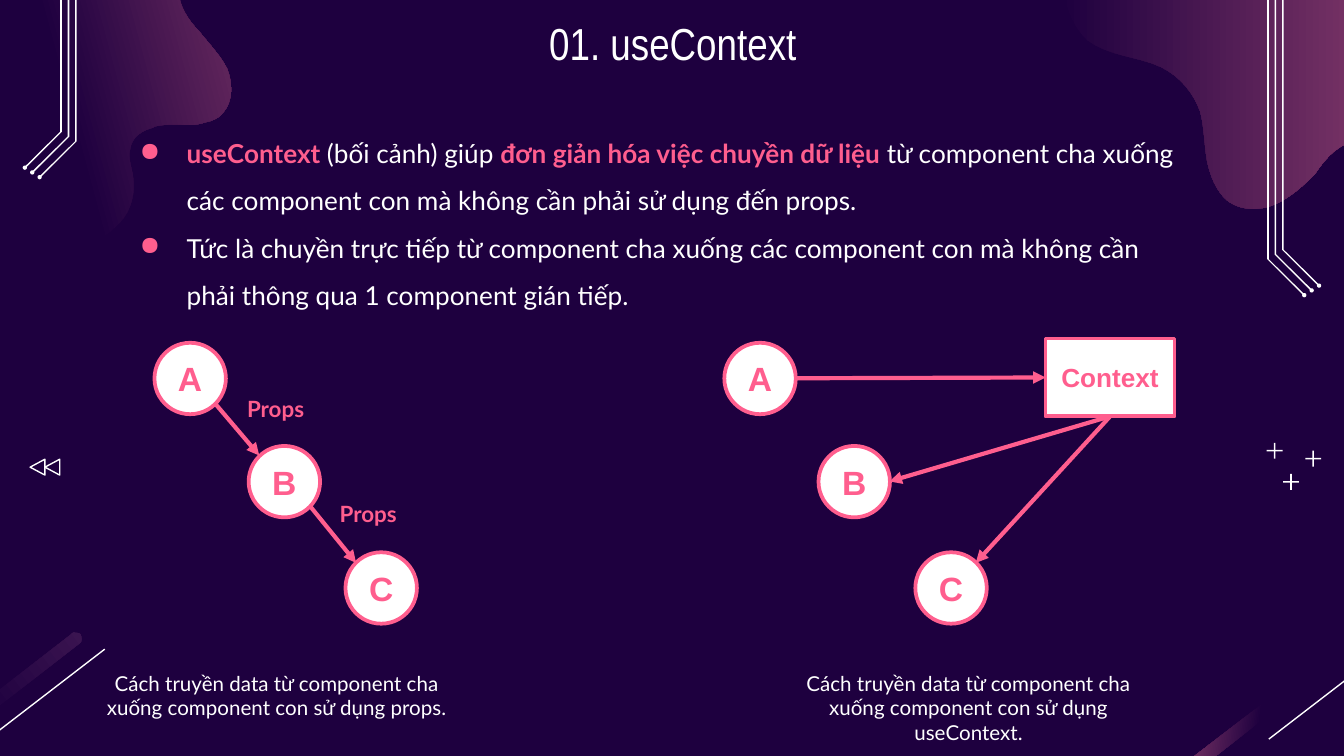
from dataclasses import dataclass
from typing import Optional

from lxml.etree import SubElement
from pptx import Presentation
from pptx.dml.color import RGBColor
from pptx.enum.shapes import MSO_CONNECTOR, MSO_SHAPE
from pptx.enum.text import MSO_ANCHOR, MSO_AUTO_SIZE, PP_ALIGN
from pptx.oxml.ns import qn
from pptx.util import Cm, Pt

NIGHT = RGBColor(0x1E, 0x00, 0x3F)
MAUVE = RGBColor(0xA6, 0x4D, 0x79)
DIM_MAUVE = RGBColor(0x3A, 0x14, 0x50)
PINK = RGBColor(0xFF, 0x5E, 0x8E)
WHITE = RGBColor(0xFF, 0xFF, 0xFF)

OVAL, RECT, TRIANGLE = MSO_SHAPE.OVAL, MSO_SHAPE.RECTANGLE, MSO_SHAPE.ISOSCELES_TRIANGLE
STRAIGHT = MSO_CONNECTOR.STRAIGHT
LEFT, CENTER = PP_ALIGN.LEFT, PP_ALIGN.CENTER
TOP, MIDDLE = MSO_ANCHOR.TOP, MSO_ANCHOR.MIDDLE
FIT_TEXT = MSO_AUTO_SIZE.SHAPE_TO_FIT_TEXT
SIDE_LEFT, SIDE_BOTTOM = 1, 2

CURVE_UNIT = 0.0254
CURVE_STEPS = 8
BAR_SHIFT = 24.21
DIAGRAM_SHIFT = 10.77
NODE_SIZE = 1.35


@dataclass(frozen=True)
class Box:
    left: float
    top: float
    width: float
    height: float

    def lengths(self) -> tuple:
        return Cm(self.left), Cm(self.top), Cm(self.width), Cm(self.height)


@dataclass(frozen=True)
class Gradient:
    start: float
    end_color: RGBColor
    angle: float


@dataclass(frozen=True)
class Rail:
    x: float
    top: float
    bend: float
    side: int


TITLE_FONT = {"name": "Arial Narrow", "size": Pt(24), "bold": False}
BODY_FONT = {"name": "Lato", "size": Pt(14), "bold": False}
STRONG_FONT = {**BODY_FONT, "bold": True}
PROPS_FONT = {**STRONG_FONT, "size": Pt(12)}
CAPTION_FONT = {**BODY_FONT, "size": Pt(11)}
NODE_FONT = {"name": "Arial", "size": Pt(18), "bold": True}
CONTEXT_FONT = {**NODE_FONT, "size": Pt(14)}
ROOMY = {"margin_top": Cm(0.25), "margin_bottom": Cm(0.25)}

LEFT_BLOB = [
    (48, 190), (74, 183), (86, 169), (90, 165), (98, 156), (101, 143), (99, 131),
    (98, 124), (95, 117), (97, 111), (98, 102), (106, 97), (114, 95),
    (115, 94), (115, 94), (116, 94), (124, 92), (133, 93), (142, 93),
    (146, 93), (150, 92), (153, 91), (158, 90), (163, 88), (166, 84),
    (174, 75), (173, 61), (169, 51), (164, 41), (155, 32), (148, 23),
    (140, 15), (133, 4), (133, -7), (133, -16), (136, -25), (143, -31),
    (147, -35), (153, -38), (159, -39), (168, -42), (179, -42), (190, -41),
    (201, -41), (212, -40), (223, -42), (225, -43), (226, -43), (228, -43),
    (237, -46), (246, -51), (252, -58), (259, -66), (261, -78), (258, -87),
    (256, -105), (244, -125), (233, -134), (215, -150), (190, -155), (167, -151),
    (166, -150), (165, -150), (164, -150), (129, -140), (103, -110), (70, -95),
    (65, -93), (59, -91), (54, -90), (22, -81), (-13, -85), (-47, -82),
    (-62, -81), (-77, -78), (-91, -74), (-104, -71), (-116, -67), (-128, -61),
    (-145, -54), (-162, -44), (-174, -30), (-186, -17), (-195, 2), (-194, 22),
    (-193, 46), (-176, 68), (-156, 80), (-135, 93), (-112, 97), (-88, 99),
    (-74, 101), (-60, 101), (-46, 106), (-32, 110), (-19, 119), (-13, 133),
    (-8, 144), (-8, 155), (-3, 166), (6, 184), (29, 195), (48, 190),
]
RIGHT_BLOB = [
    (1125, 38), (1125, 13), (1118, -13), (1105, -35), (1094, -54), (1078, -70), (1058, -77),
    (1036, -85), (1012, -81), (989, -84), (967, -87), (945, -97), (929, -113),
    (918, -123), (909, -135), (897, -141), (883, -148), (867, -146), (852, -143),
    (840, -140), (828, -136), (819, -129), (803, -117), (796, -97), (793, -78),
    (790, -65), (789, -51), (789, -38), (789, -31), (789, -24), (790, -18),
    (791, 0), (796, 18), (809, 30), (825, 42), (847, 42), (864, 50),
    (878, 57), (888, 69), (893, 83), (896, 94), (896, 107), (898, 119),
    (900, 130), (905, 143), (914, 150), (924, 157), (938, 157), (949, 152),
    (960, 147), (969, 139), (978, 130), (983, 123), (988, 116), (995, 111),
    (1002, 106), (1010, 103), (1018, 106), (1033, 110), (1038, 130), (1052, 138),
    (1085, 157), (1108, 112), (1117, 88), (1122, 72), (1125, 55), (1125, 38),
]
BAR = [
    (56, 471), (57, 471), (59, 471), (60, 472), (61, 475), (61, 478), (59, 479),
    (59, 479), (-81, 588), (-81, 588), (-84, 589), (-87, 589), (-88, 587),
    (-90, 585), (-90, 582), (-87, 580), (-87, 580), (53, 472), (53, 472),
    (54, 471), (55, 470), (56, 471),
]


def style(target, values: dict) -> None:
    for attribute, value in values.items():
        setattr(target, attribute, value)


def curve(controls: list, shift: float = 0) -> list:
    points = []
    for first in range(0, len(controls) - 1, 3):
        segment = controls[first:first + 4]
        for step in range(CURVE_STEPS):
            t = step / CURVE_STEPS
            weights = ((1 - t) ** 3, 3 * t * (1 - t) ** 2, 3 * t * t * (1 - t), t ** 3)
            x, y = (sum(w * p[axis] for w, p in zip(weights, segment)) for axis in (0, 1))
            points.append((x * CURVE_UNIT + shift, y * CURVE_UNIT))
    return points


def paint(shape, fill: Optional[RGBColor], line: Optional[RGBColor] = None, width: float = 2) -> None:
    shape.shadow.inherit = False
    if fill is None:
        shape.fill.background()
    else:
        shape.fill.solid()
        shape.fill.fore_color.rgb = fill
    if line is None:
        shape.line.fill.background()
    else:
        shape.line.color.rgb = line
        shape.line.width = Pt(width)


def draw_shape(shapes, kind, box: Box, fill=None, line=None, width: float = 2):
    shape = shapes.add_shape(kind, *box.lengths())
    paint(shape, fill, line, width)
    return shape


def draw_outline(shapes, points: list, gradient: Optional[Gradient] = None) -> None:
    corners = [(Cm(x), Cm(y)) for x, y in points]
    builder = shapes.build_freeform(*corners[0])
    builder.add_line_segments(corners[1:], close=True)
    outline = builder.convert_to_shape()
    paint(outline, WHITE)
    if gradient:
        outline.fill.gradient()
        outline.fill.gradient_angle = gradient.angle
        stops = ((gradient.start, NIGHT), (1, gradient.end_color))
        for stop, (position, color) in zip(outline.fill.gradient_stops, stops):
            stop.position = position
            stop.color.rgb = color


def draw_rail(shapes, rail: Rail) -> None:
    profile = [(0, rail.top), (0, rail.bend), (0.69, rail.bend + 0.69),
               (0.71, rail.bend + 0.67), (0.03, rail.bend), (0.03, rail.top)]
    draw_outline(shapes, [(rail.x + rail.side * x, y) for x, y in profile])
    tip = rail.x + rail.side * 0.7
    draw_shape(shapes, OVAL, Box(tip - 0.04, rail.bend + 0.64, 0.08, 0.08), WHITE)


def draw_line(shapes, start: tuple, end: tuple, color=PINK, width=2.25, arrow=True):
    line = shapes.add_connector(STRAIGHT, *(Cm(v) for v in (*start, *end)))
    line.line.color.rgb = color
    line.line.width = Pt(width)
    properties = line._element.spPr
    if arrow:
        SubElement(properties.find(qn("a:ln")), qn("a:tailEnd"), type="triangle")
    SubElement(properties, qn("a:effectLst"))
    return line


def write(paragraph, text: str, font: dict, color: RGBColor) -> None:
    run = paragraph.add_run()
    run.text = text
    style(run.font, font)
    run.font.color.rgb = color


def draw_text(shapes, box: Box, text: str, font: dict, color=WHITE, align=CENTER, **frame) -> None:
    text_frame = shapes.add_textbox(*box.lengths()).text_frame
    style(text_frame, {"word_wrap": True, "vertical_anchor": TOP, **frame})
    text_frame.paragraphs[0].alignment = align
    write(text_frame.paragraphs[0], text, font, color)


def draw_bullets(shapes, box: Box, points: list) -> None:
    text_frame = shapes.add_textbox(*box.lengths()).text_frame
    style(text_frame, {"word_wrap": True, "vertical_anchor": TOP, **ROOMY})
    for index, phrases in enumerate(points):
        paragraph = text_frame.add_paragraph() if index else text_frame.paragraphs[0]
        paragraph.line_spacing = 1.5
        properties = paragraph._p.get_or_add_pPr()
        properties.set("marL", str(Cm(1.27)))
        properties.set("indent", str(-Cm(0.89)))
        SubElement(SubElement(properties, qn("a:buClr")), qn("a:srgbClr"), val=str(PINK))
        SubElement(properties, qn("a:buChar"), char="●")
        for phrase, strong in phrases:
            write(paragraph, phrase, STRONG_FONT if strong else BODY_FONT, PINK if strong else WHITE)


def draw_node(shapes, kind, box: Box, label: str, font: dict):
    node = draw_shape(shapes, kind, box, WHITE, PINK)
    style(node.text_frame, {"vertical_anchor": MIDDLE, "word_wrap": True,
                            "margin_left": 0, "margin_right": 0})
    node.text_frame.paragraphs[0].alignment = CENTER
    write(node.text_frame.paragraphs[0], label, font, PINK)
    return node


def draw_backdrop(shapes) -> None:
    draw_outline(shapes, curve(LEFT_BLOB), Gradient(0.5, MAUVE, 15))
    draw_outline(shapes, curve(RIGHT_BLOB), Gradient(0, MAUVE, 0))
    for shift, gradient in ((0, Gradient(0.5, DIM_MAUVE, 37)), (BAR_SHIFT, Gradient(0.5, MAUVE, 173))):
        draw_outline(shapes, curve(BAR, shift), gradient)
        draw_line(shapes, (1.98 + shift, 12.27), (-0.23 + shift, 13.97), WHITE, 0.75, False)
    for i in range(3):
        draw_rail(shapes, Rail(23.95 + 0.14 * i, -3.02, 4.9 - 0.09 * i, 1))
        draw_rail(shapes, Rail(1.45 - 0.14 * i, -5.26, 2.67 - 0.09 * i, -1))
    for x, y in ((24.4, 9.11), (24.82, 8.67), (24.09, 8.52)):
        for width, height in ((0.3, 0.03), (0.03, 0.3)):
            draw_shape(shapes, RECT, Box(x - width / 2, y - height / 2, width, height), WHITE)
    for left in (0.56, 0.84):
        draw_shape(shapes, TRIANGLE, Box(left, 8.69, 0.3, 0.28), None, WHITE, 0.75).rotation = 270


def draw_diagrams(shapes) -> None:
    for shift in (0, DIAGRAM_SHIFT):
        for label, left, top in (("A", 2.92, 6.48), ("B", 4.7, 8.43), ("C", 6.53, 10.44)):
            draw_node(shapes, OVAL, Box(left + shift, top, NODE_SIZE, NODE_SIZE), label, NODE_FONT)
    for start, end in (((4.06, 7.62), (4.9, 8.61)), ((5.87, 9.58), (6.73, 10.64))):
        draw_line(shapes, start, end)
    for left, top in ((4.42, 7.34), (6.17, 9.32)):
        draw_text(shapes, Box(left, top, 1.63, 0.76), "Props", PROPS_FONT, PINK, LEFT,
                  word_wrap=False, auto_size=FIT_TEXT)
    context = draw_node(shapes, RECT, Box(19.76, 6.4, 2.44, 1.47), "Context", CONTEXT_FONT)
    draw_line(shapes, (15.04, 7.15), (19.76, 7.14)).end_connect(context, SIDE_LEFT)
    for target in ((18.44, 10.64), (16.81, 9.1)):
        draw_line(shapes, (20.98, 7.87), target).begin_connect(context, SIDE_BOTTOM)
    for left, width, means in ((1.7, 7.06, "props"), (14.43, 7.75, "useContext")):
        draw_text(shapes, Box(left, 12.55, width, 1.19),
                  f"Cách truyền data từ component cha xuống component con sử dụng {means}.",
                  CAPTION_FONT, auto_size=FIT_TEXT)


def main() -> None:
    deck = Presentation()
    style(deck, {"slide_width": Cm(25.4), "slide_height": Cm(14.29)})
    slide = deck.slides.add_slide(deck.slide_layouts[6])
    slide.background.fill.solid()
    slide.background.fill.fore_color.rgb = NIGHT
    draw_backdrop(slide.shapes)
    draw_bullets(slide.shapes, Box(2.01, 2.06, 20.62, 3.96), [
        [("useContext ", True), ("(bối cảnh) giúp ", False),
         ("đơn giản hóa việc chuyền dữ liệu ", True),
         ("từ component cha xuống các component con mà không cần phải sử dụng đến props.", False)],
        [("Tức là chuyền trực tiếp từ component cha xuống các component con mà không cần "
          "phải thông qua 1 component gián tiếp.", False)],
    ])
    draw_text(slide.shapes, Box(2.01, 0, 21.41, 1.6), "01. useContext", TITLE_FONT,
              vertical_anchor=MIDDLE, **ROOMY)
    draw_diagrams(slide.shapes)
    deck.save("out.pptx")


if __name__ == "__main__":
    main()
